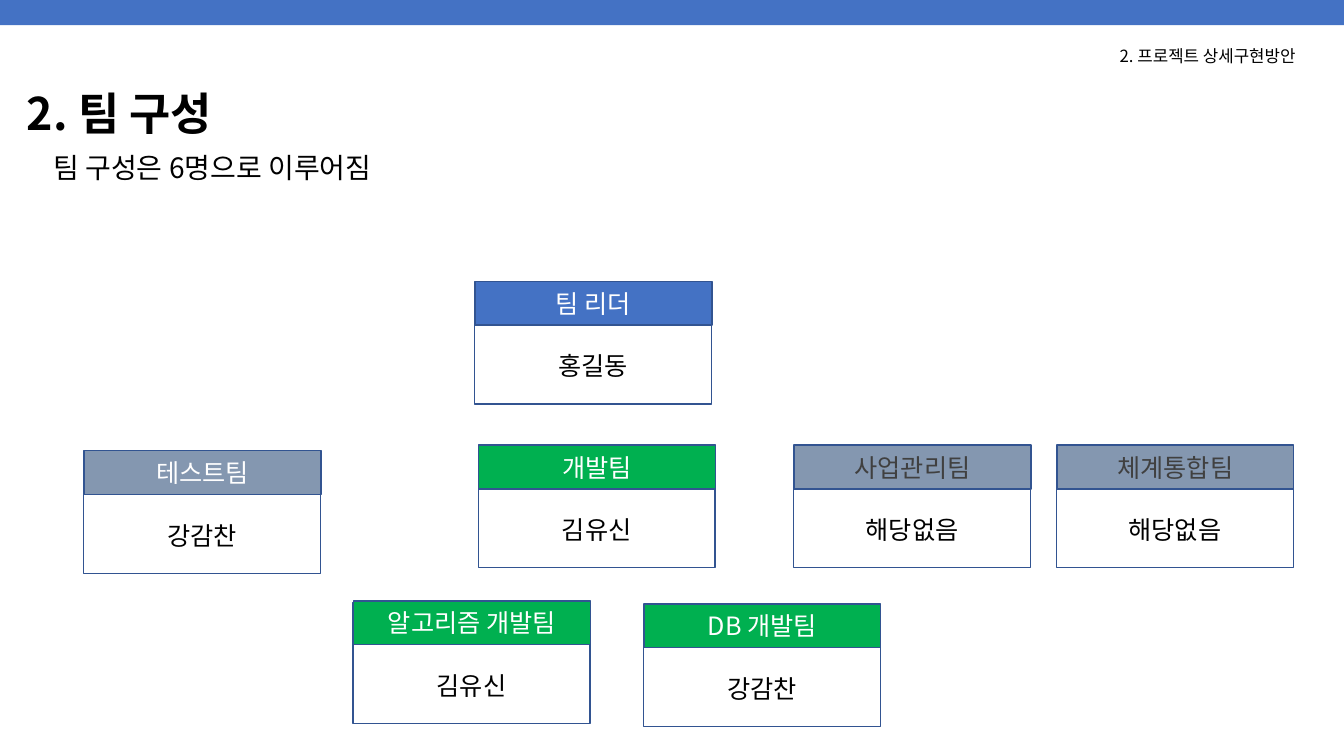
from lxml import etree
from pptx import Presentation
from pptx.dml import color
from pptx.enum import shapes, text
from pptx.oxml import ns
from pptx.util import Pt

FONT = "Noto Sans CJK KR"
BLUE, GREEN, GRAY = "4472C4", "00B050", "8497B0"
BLACK, WHITE, DARK, BORDER = "000000", "FFFFFF", "404040", "325491"
CARD_WIDTH, HEAD_HEIGHT, BODY_HEIGHT = 169.2, 31.2, 86.4


def add_rectangle(parent, left, top, width, height, fill=None, line=None):
    box = parent.add_shape(shapes.MSO_SHAPE.RECTANGLE, Pt(left), Pt(top), Pt(width), Pt(height))
    box.shadow.inherit = False
    if fill:
        box.fill.solid()
        box.fill.fore_color.rgb = color.RGBColor.from_string(fill)
    else:
        box.fill.background()
    if line:
        box.line.color.rgb = color.RGBColor.from_string(line)
        box.line.width = Pt(1)
    else:
        box.line.fill.background()
    return box


def write(box, words, size, hue=BLACK, align=text.PP_ALIGN.LEFT, anchor=text.MSO_ANCHOR.TOP, wrap=True):
    """Put one line of text in a box and format it, for Latin and Korean letters."""
    frame = box.text_frame
    frame.text = words
    frame.word_wrap = wrap
    frame.vertical_anchor = anchor
    para = frame.paragraphs[0]
    para.alignment = align
    span = para.runs[0]
    span.font.name = FONT
    span.font.size = Pt(size)
    span.font.color.rgb = color.RGBColor.from_string(hue)
    etree.SubElement(span.font._element, ns.qn("a:ea"), typeface=FONT)
    return para


deck = Presentation()
deck.slide_width, deck.slide_height = Pt(960), Pt(540)
page = deck.slides.add_slide(deck.slide_layouts[6])

add_rectangle(page.shapes, 0, 0, 960, 18, BLUE)

title_box = page.shapes.add_textbox(Pt(12.2), Pt(51.1), Pt(931), Pt(64.1))
title = write(title_box, "2. 팀 구성", 32, anchor=text.MSO_ANCHOR.MIDDLE)
title.line_spacing = 0.9
title.runs[0].font.bold = True

chapter_box = page.shapes.add_textbox(Pt(792.7), Pt(28.8), Pt(153.4), Pt(21.6))
write(chapter_box, "2. 프로젝트 상세구현방안", 12, wrap=False)

summary_box = page.shapes.add_textbox(Pt(31), Pt(106.6), Pt(893.5), Pt(46.8))
summary = write(summary_box, "팀 구성은 6명으로 이루어짐", 20)
summary.line_spacing = 0.9
summary.space_before = Pt(10)

# left, top, team, member, header fill, header text colour
teams = [
    (339.1, 201, "팀 리더", "홍길동", BLUE, WHITE),
    (459.6, 431.3, "DB 개발팀", "강감찬", GREEN, WHITE),
    (59.8, 322, "테스트팀", "강감찬", GRAY, WHITE),
    (252.2, 429.3, "알고리즘 개발팀", "김유신", GREEN, WHITE),
    (341.6, 318, "개발팀", "김유신", GREEN, WHITE),
    (566.9, 318, "사업관리팀", "해당없음", GRAY, DARK),
    (754.6, 318, "체계통합팀", "해당없음", GRAY, DARK),
]
for left, top, team, member, fill, hue in teams:
    card = page.shapes.add_group_shape().shapes
    add_rectangle(card, left, top + 1.2, CARD_WIDTH, BODY_HEIGHT, line=BORDER)
    header = add_rectangle(card, left + 0.3, top, CARD_WIDTH, HEAD_HEIGHT, fill, BORDER)
    write(header, team, 18, hue, text.PP_ALIGN.CENTER, text.MSO_ANCHOR.MIDDLE)
    name_box = card.add_textbox(Pt(left), Pt(top + 45.8), Pt(CARD_WIDTH), Pt(28.8))
    write(name_box, member, 18, align=text.PP_ALIGN.CENTER)

deck.save("out.pptx")
